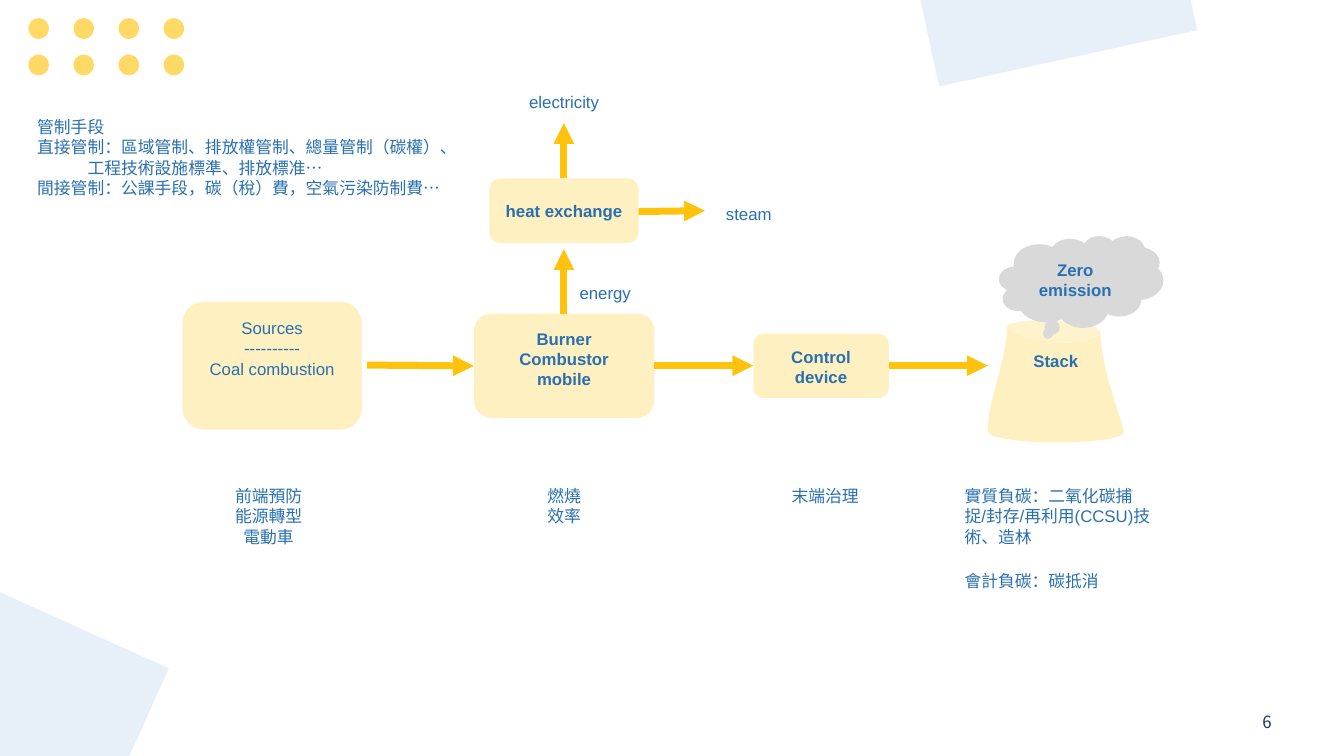
from itertools import product

from lxml.etree import SubElement
from pptx import Presentation
from pptx.dml.color import RGBColor
from pptx.enum.shapes import MSO_CONNECTOR, MSO_SHAPE
from pptx.enum.text import MSO_ANCHOR, PP_ALIGN
from pptx.oxml.ns import qn
from pptx.util import Pt

COLORS = {
    "text": "2970B1", "node": "FFF0C2", "arrow": "FFC30D", "cloud": "D9D9D9",
    "dot": "FFD966", "corner": "E7F0F8", "number": "143858",
}
FONT = {"name": "Arial", "size": Pt(12), "bold": False}
FRAME = {"word_wrap": True, "vertical_anchor": MSO_ANCHOR.TOP}
FRAME.update({f"margin_{side}": Pt(7.2) for side in ("left", "top", "right", "bottom")})
PARAGRAPH = {"alignment": PP_ALIGN.CENTER, "line_spacing": Pt(14.4)}


def color(name):
    """Return the named colour."""
    return RGBColor.from_string(COLORS[name])


def apply_format(target, values):
    """Set every value of a dict as an attribute."""
    for name, value in values.items():
        setattr(target, name, value)


def write_text(shape, lines, text_color="text", font={}, frame={}, paragraph={}):
    """Fill a shape with one paragraph per line."""
    text_frame = shape.text_frame
    apply_format(text_frame, FRAME | frame)
    text_frame.text = "\n".join(lines)
    for line in text_frame.paragraphs:
        apply_format(line, PARAGRAPH | paragraph)
        for run in line.runs:
            apply_format(run.font, FONT | font)
            run.font.color.rgb = color(text_color)


def paint(shape, fill):
    """Give a shape a flat fill without line or shadow."""
    shape.shadow.inherit = False
    shape.fill.solid()
    shape.fill.fore_color.rgb = color(fill)
    shape.line.fill.background()
    return shape


def add_shape(slide, preset, box, fill):
    """Add a flat preset shape."""
    return paint(slide.shapes.add_shape(preset, *map(Pt, box)), fill)


def add_label(slide, box, lines, **formats):
    """Add a text box."""
    write_text(slide.shapes.add_textbox(*map(Pt, box)), lines, **formats)


def add_arrow(slide, start, end):
    """Add a thick arrow between two points."""
    connector = slide.shapes.add_connector(MSO_CONNECTOR.STRAIGHT, *map(Pt, start + end))
    connector.line.width = Pt(5)
    connector.line.color.rgb = color("arrow")
    SubElement(connector.line._get_or_add_ln(), qn("a:tailEnd"), type="triangle")
    SubElement(connector._element.spPr, qn("a:effectLst"))


def add_curved_shape(slide, box, outlines, fill):
    """Add one freeform made of closed Bezier outlines relative to its box."""
    left, top, width, height = map(Pt, box)
    builder = slide.shapes.build_freeform(left, top)
    builder.add_line_segments([
        (left + width, top), (left + width, top + height), (left, top + height)])
    shape = builder.convert_to_shape()
    path_list = shape._element.spPr.find(qn("a:custGeom")).find(qn("a:pathLst"))
    path_list.clear()
    for shade, start, curves in outlines:
        outline = SubElement(path_list, qn("a:path"), w=str(width), h=str(height), fill=shade)
        for tag, values in [("a:moveTo", start)] + [("a:cubicBezTo", curve) for curve in curves]:
            segment = SubElement(outline, qn(tag))
            for x, y in zip(values[::2], values[1::2]):
                SubElement(segment, qn("a:pt"), x=str(Pt(x)), y=str(Pt(y)))
        SubElement(outline, qn("a:close"))
    return paint(shape, fill)


def draw_background(slide, box):
    """Draw the dot grid, the corner blocks and the slide number."""
    left, top, width, height = box
    number = (left + width - 163, top + height - 38.9, 216, 28.8)
    add_label(slide, number, ["6"], text_color="number", font={"name": "Noto Sans CJK SC"},
              frame={"vertical_anchor": MSO_ANCHOR.MIDDLE, "margin_top": Pt(3.6),
                     "margin_bottom": Pt(3.6)}, paragraph={"line_spacing": 1.0})
    for row, column in product(range(2), range(4)):
        dot = (left + 20.3 + 32.2 * column, top + 13 + 26 * row, 14.6, 14.8)
        add_shape(slide, MSO_SHAPE.OVAL, dot, "dot")
    for x, y, angle in ((656, -76.5, 347.7), (-84.2, 433.4, 24.3)):
        corner = add_shape(slide, MSO_SHAPE.RECTANGLE, (left + x, top + y, 188.6, 119.5), "corner")
        corner.rotation = angle


def draw_policy(slide, box):
    """Write the list of control measures."""
    add_label(slide, box, [
        "管制手段",
        "直接管制：區域管制、排放權管制、總量管制（碳權）、",
        "\t工程技術設施標準、排放標准…",
        "間接管制：公課手段，碳（稅）費，空氣污染防制費…",
    ], paragraph={"alignment": PP_ALIGN.LEFT})


def draw_stack(slide, box):
    """Draw the stack and the cloud above it."""
    body = [
        (13.7, 8.6, 37.4, 15.1, 49, 15.8), (59.8, 16.6, 80.6, 13, 80.6, 8.6),
        (80.6, 32.4, 93.6, 64.8, 97.2, 79.2), (97.9, 84.2, 75.6, 87.1, 49, 87.1),
        (21.6, 87.1, 0, 83.5, 0, 79.2), (0, 55.4, 13.7, 28.1, 13.7, 4.3),
    ]
    rim = [
        (13, 0, 37.4, -0.7, 49, 0), (59.8, 0.7, 80.6, 3.6, 80.6, 8.6),
        (80.6, 13, 59.8, 16.6, 49, 15.8), (37.4, 15.1, 13, 9.4, 13, 5),
    ]
    outlines = [("norm", (13.7, 4.3), body), ("lightenLess", (13, 5), rim)]
    stack = add_curved_shape(slide, box, outlines, "node")
    write_text(stack, ["Stack"], font={"bold": True}, frame={"margin_top": Pt(21.6)})
    left, top = box[:2]
    cloud = add_shape(slide, MSO_SHAPE.CLOUD_CALLOUT, (left + 8, top - 60.5, 117.4, 65.5), "cloud")
    cloud.adjustments[0], cloud.adjustments[1] = -0.21, 0.59
    write_text(cloud, ["Zero emission"], font={"bold": True})


def draw_process(slide, box):
    """Draw the process nodes, their arrows and the output labels."""
    left, top = box[:2]
    nodes = [
        ((0, 88, 128.2, 91.4), ["Sources", "----------", "Coal combustion"], False, MSO_ANCHOR.TOP),
        ((208.2, 96.5, 128.9, 74.5), ["Burner", "Combustor", "mobile"], True, MSO_ANCHOR.TOP),
        ((219.3, 0, 106.6, 46.1), ["heat exchange"], True, MSO_ANCHOR.MIDDLE),
        ((407.8, 110.8, 96.8, 46.1), ["Control", "device"], True, MSO_ANCHOR.TOP),
    ]
    for (x, y, width, height), lines, bold, anchor in nodes:
        node = add_shape(slide, MSO_SHAPE.ROUNDED_RECTANGLE, (left + x, top + y, width, height), "node")
        write_text(node, lines, font={"bold": bold}, frame={"vertical_anchor": anchor})
    arrows = [
        (132, 133.3, 208.2, 133.9), (337, 133.7, 407.8, 133.7), (504.6, 133.7, 575.3, 133.7),
        (272.5, 96.5, 272.5, 50.4), (272.5, 0, 272.5, -39.6), (325.9, 23.6, 373.2, 23),
    ]
    for x1, y1, x2, y2 in arrows:
        add_arrow(slide, (left + x1, top + y1), (left + x2, top + y2))
    labels = [
        ("energy", (259.5, 67, 85, 21.6)),
        ("electricity", (221.2, -69.1, 103, 28.8)),
        ("steam", (353.1, 10.7, 103, 21.6)),
    ]
    for word, (x, y, width, height) in labels:
        add_label(slide, (left + x, top + y, width, height), [word])


def draw_measures(slide, box):
    """Write the measures below each process step."""
    left, top = box[:2]
    columns = [
        (0, ["前端預防", "能源轉型", "電動車"]),
        (211, ["燃燒", "效率"]),
        (397.5, ["末端治理"]),
    ]
    for x, lines in columns:
        add_label(slide, (left + x, top, 103, 14.4 * (1 + len(lines))), lines)
    results = [
        (0, 58.3, "實質負碳：二氧化碳捕捉/封存/再利用(CCSU)技術、造林"),
        (60.3, 28.8, "會計負碳：碳抵消"),
    ]
    for y, height, line in results:
        add_label(slide, (left + 541.5, top + y, 151.2, height), [line],
                  paragraph={"alignment": PP_ALIGN.LEFT})


def main():
    """Build and save the slide."""
    presentation = Presentation()
    apply_format(presentation, {"slide_width": Pt(960), "slide_height": Pt(540)})
    slide = presentation.slides.add_slide(presentation.slide_layouts[6])
    draw_background(slide, (0, 0, 960, 540))
    draw_process(slide, (130.3, 127.5, 575.3, 179.4))
    draw_stack(slide, (705.6, 229, 97.2, 87.6))
    draw_policy(slide, (19.5, 76.3, 412.6, 72.7))
    draw_measures(slide, (140.4, 339.9, 692.7, 89.1))
    presentation.save("out.pptx")


main()
